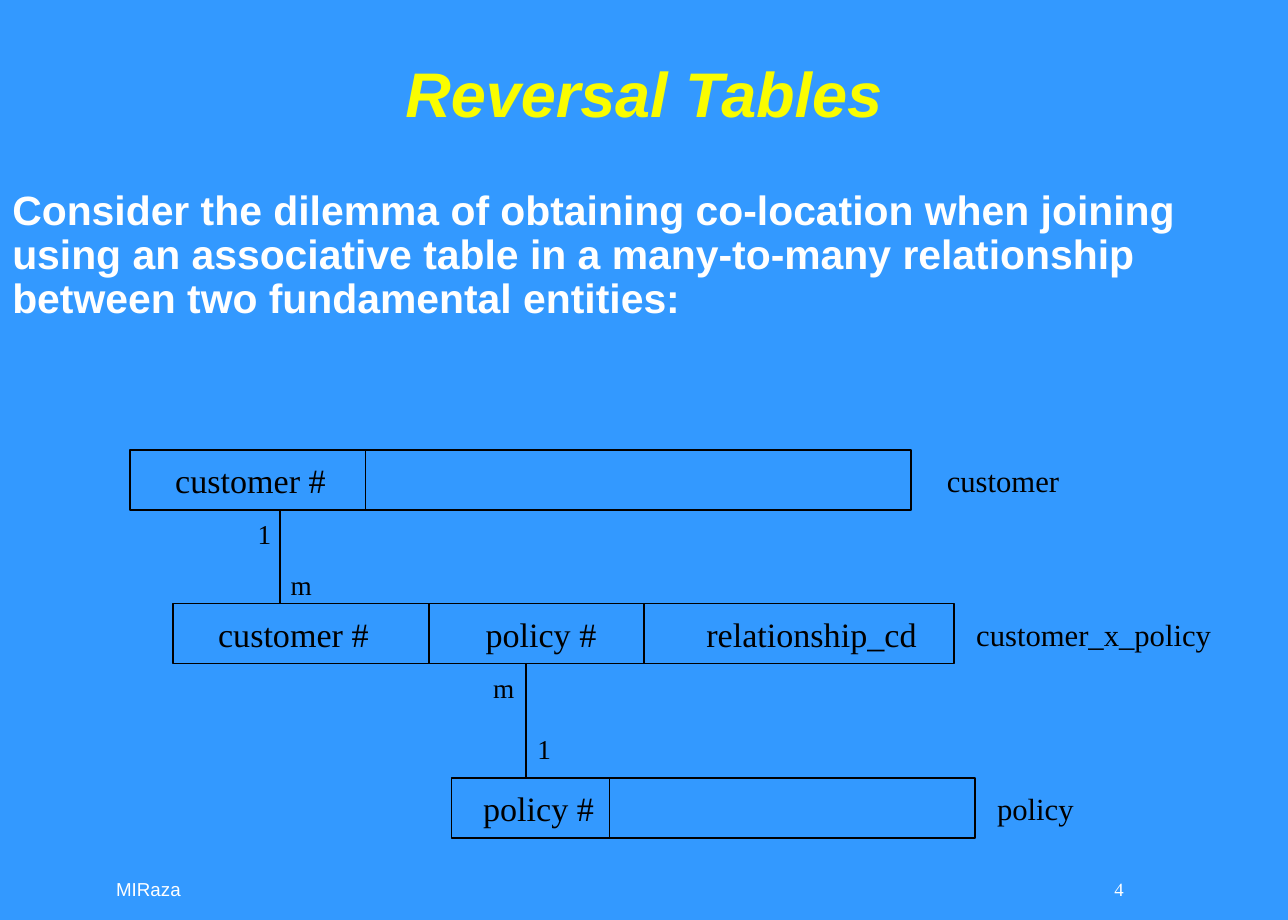
from lxml.etree import SubElement
from pptx import Presentation
from pptx.dml.color import RGBColor
from pptx.enum.shapes import MSO_CONNECTOR, MSO_SHAPE
from pptx.enum.text import MSO_ANCHOR, PP_ALIGN
from pptx.oxml.ns import qn
from pptx.util import Inches, Pt

COLORS = {"background": "3399FF", "title": "FAFD00", "light": "FFFFFF", "ink": "000000"}
SERIF = "Times New Roman"
SANS = "Arial"
ROW_HEIGHT = 0.49


def color(name):
    return RGBColor.from_string(COLORS[name])


def place(shape, left, top, width, height):
    shape.left, shape.top = Inches(left), Inches(top)
    shape.width, shape.height = Inches(width), Inches(height)


def set_font(paragraph, name, size, color_name, bold=False, italic=False):
    font = paragraph.font
    font.name, font.size = name, Pt(size)
    font.bold, font.italic = bold, italic
    font.color.rgb = color(color_name)


def add_text(slide, text, box, size, font_name=SERIF, color_name="ink",
             align=PP_ALIGN.LEFT, anchor=MSO_ANCHOR.TOP, inset=True, wrap=False):
    frame = slide.shapes.add_textbox(*map(Inches, box)).text_frame
    frame.word_wrap = wrap
    frame.vertical_anchor = anchor
    if not inset:
        frame.margin_left = frame.margin_right = 0
        frame.margin_top = frame.margin_bottom = 0
    paragraph = frame.paragraphs[0]
    paragraph.text = text
    paragraph.alignment = align
    set_font(paragraph, font_name, size, color_name)


def add_vertical_line(slide, x, top, bottom):
    line = slide.shapes.add_connector(
        MSO_CONNECTOR.STRAIGHT, Inches(x), Inches(top), Inches(x), Inches(bottom))
    line.line.color.rgb = color("ink")
    line.line.width = Pt(1)
    SubElement(line._element.spPr, qn("a:effectLst"))


def add_title(slide, text, box):
    title = slide.shapes.title
    place(title, *box)
    title.text_frame.vertical_anchor = MSO_ANCHOR.MIDDLE
    paragraph = title.text_frame.paragraphs[0]
    paragraph.text = text
    paragraph.alignment = PP_ALIGN.CENTER
    paragraph.line_spacing = 0.9
    set_font(paragraph, SANS, 37, "title", bold=True, italic=True)


def add_body(slide, text, box):
    body = slide.placeholders[1]
    place(body, *box)
    paragraph = body.text_frame.paragraphs[0]
    paragraph.text = text
    paragraph.line_spacing = 0.9
    paragraph.space_before = Pt(0)
    properties = paragraph._p.get_or_add_pPr()
    properties.set("marL", "0")
    properties.set("indent", "0")
    SubElement(properties, qn("a:buNone"))
    set_font(paragraph, SANS, 24, "light", bold=True)


def add_record(slide, left, top, width, fields, dividers, label):
    """Draw a table row; field, divider and label offsets run from its left edge."""
    row = slide.shapes.add_shape(
        MSO_SHAPE.RECTANGLE, *map(Inches, (left, top, width, ROW_HEIGHT)))
    row.shadow.inherit = False
    row.fill.background()
    row.line.color.rgb = color("ink")
    row.line.width = Pt(1)
    for offset in dividers:
        add_vertical_line(slide, left + offset, top, top + ROW_HEIGHT)
    for text, offset, field_width in fields:
        add_text(slide, text, (left + offset, top + 0.03, field_width, 0.43), 20)
    text, offset, label_width = label
    add_text(slide, text, (left + offset, top + 0.05, label_width, 0.4), 18, wrap=True)


def add_relationship(slide, x, top, bottom, *marks):
    """Join two rows; each mark has its offset from the line, its top and its width."""
    add_vertical_line(slide, x, top, bottom)
    for mark, offset, mark_top, width in marks:
        add_text(slide, mark, (x + offset, mark_top, width, 0.27), 16, inset=False)


def add_diagram(slide, left, top):
    middle, bottom = top + 1.25, top + 2.67
    add_record(slide, left, top, 6.37, [("customer #", 0.27, 1.43)],
               [1.92], ("customer", 6.56, 1.42))
    add_record(slide, left + 0.35, middle, 6.37,
               [("customer #", 0.27, 1.43), ("policy #", 2.45, 1.11),
                ("relationship_cd", 4.25, 1.92)],
               [2.09, 3.84], ("customer_x_policy", 6.45, 2.56))
    add_record(slide, left + 2.62, bottom, 4.27, [("policy #", 0.16, 1.11)],
               [1.29], ("policy", 4.35, 1.42))
    add_relationship(slide, left + 1.22, top + ROW_HEIGHT, middle,
                     ("1", -0.18, top + 0.55, 0.11), ("m", 0.09, middle - 0.29, 0.17))
    add_relationship(slide, left + 3.23, middle + ROW_HEIGHT, bottom,
                     ("m", -0.27, middle + 0.55, 0.17), ("1", 0.09, bottom - 0.37, 0.11))


def add_footer(slide, top):
    add_text(slide, "MIRaza", (0.67, top, 1.08, 0.5), 11, SANS, "light",
             PP_ALIGN.CENTER, MSO_ANCHOR.MIDDLE)
    add_text(slide, "4", (8.09, top, 1.17, 0.5), 11, SERIF, "light",
             PP_ALIGN.RIGHT, MSO_ANCHOR.MIDDLE)


def main():
    presentation = Presentation()
    presentation.slide_width, presentation.slide_height = Inches(10.5), Inches(7.5)
    slide = presentation.slides.add_slide(presentation.slide_layouts[1])
    slide.background.fill.solid()
    slide.background.fill.fore_color.rgb = color("background")

    # Heading and introduction
    add_title(slide, "Reversal Tables", (0.79, 0.17, 8.92, 1.25))
    add_body(slide, "Consider the dilemma of obtaining co-location when joining using "
             "an associative table in a many-to-many relationship between two "
             "fundamental entities:", (0, 1.5, 9.8, 5.25))

    # Table diagram and footer
    add_diagram(slide, 1.06, 3.67)
    add_footer(slide, 7)
    presentation.save("out.pptx")


if __name__ == "__main__":
    main()
